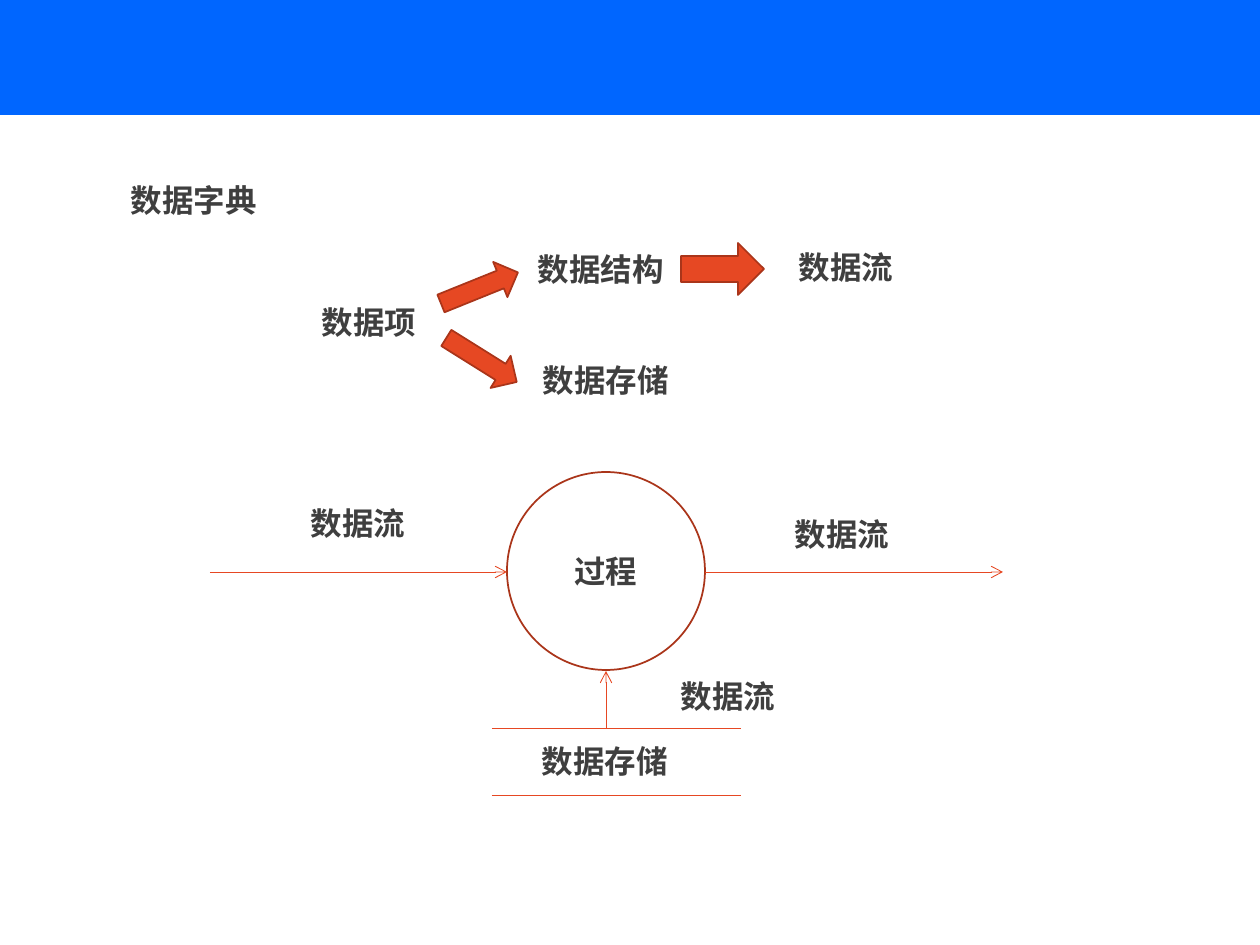
from lxml import etree
from pptx import Presentation
from pptx import util as u
from pptx.dml.color import RGBColor
from pptx.enum import shapes, text
from pptx.oxml.ns import qn

PX = 914400 / 126
FONT = "Noto Sans CJK SC"
COLORS = {
    "band": "0066FF",
    "text": "3F3F3F",
    "accent": "E64823",
    "outline": "AA351A",
}


def emu(*lengths):
    return [u.Emu(round(length * PX)) for length in lengths]


def write_label(shape, label):
    frame = shape.text_frame
    frame.text = label
    frame.word_wrap = True
    frame.auto_size = text.MSO_AUTO_SIZE.NONE
    frame.vertical_anchor = text.MSO_ANCHOR.MIDDLE
    paragraph = frame.paragraphs[0]
    paragraph.alignment = text.PP_ALIGN.CENTER
    paragraph.line_spacing = 1.0
    font = paragraph.runs[0].font
    font.size = u.Pt(18)
    font.bold = True
    font.name = FONT
    font.color.rgb = RGBColor.from_string(COLORS["text"])
    east_asian = etree.SubElement(paragraph.runs[0].font._element, qn("a:ea"))
    east_asian.set("typeface", FONT)


presentation = Presentation()
presentation.slide_width, presentation.slide_height = emu(1260, 945)
slide = presentation.slides.add_slide(presentation.slide_layouts[5])

band = slide.shapes.add_shape(shapes.MSO_SHAPE.RECTANGLE, *emu(0, 0, 1260, 115))
band.shadow.inherit = False
band.fill.solid()
band.fill.fore_color.rgb = RGBColor.from_string(COLORS["band"])
band.line.fill.background()

title = slide.shapes.title
title.left, title.top, title.width, title.height = emu(97, 175, 194, 50)
write_label(title, "数据字典")

labels = [
    ("数据项", 268, 297, 202),
    ("数据结构", 500, 244, 202),
    ("数据存储", 505, 355, 202),
    ("数据流", 781, 242, 130),
    ("数据流", 257, 498, 202),
    ("数据存储", 504, 736, 202),
    ("数据流", 741, 509, 202),
    ("数据流", 627, 671, 202),
]
for label, left, top, width in labels:
    write_label(slide.shapes.add_textbox(*emu(left, top, width, 50)), label)

block_arrows = [
    (438, 269, 83, 38, 338),
    (440, 341, 83, 38, 32),
    (681, 243, 83, 52, 0),
]
for left, top, width, height, rotation in block_arrows:
    arrow = slide.shapes.add_shape(
        shapes.MSO_SHAPE.RIGHT_ARROW, *emu(left, top, width, height))
    arrow.rotation = rotation
    arrow.shadow.inherit = False
    arrow.fill.solid()
    arrow.fill.fore_color.rgb = RGBColor.from_string(COLORS["accent"])
    arrow.line.color.rgb = RGBColor.from_string(COLORS["outline"])
    arrow.line.width = u.Pt(1)

process = slide.shapes.add_shape(shapes.MSO_SHAPE.OVAL, *emu(507, 472, 198, 198))
process.shadow.inherit = False
process.fill.background()
process.line.color.rgb = RGBColor.from_string(COLORS["outline"])
process.line.width = u.Pt(1)
write_label(process, "过程")

flow_lines = [
    (210, 572, 507, 572, True),
    (705, 572, 1003, 572, True),
    (606, 728, 606, 671, True),
    (492, 728, 741, 728, False),
    (492, 795, 741, 795, False),
]
for *ends, has_arrowhead in flow_lines:
    connector = slide.shapes.add_connector(
        shapes.MSO_CONNECTOR.STRAIGHT, *emu(*ends))
    connector.line.color.rgb = RGBColor.from_string(COLORS["accent"])
    connector.line.width = u.Pt(0.5)
    if has_arrowhead:
        arrowhead = etree.SubElement(connector.line._get_or_add_ln(), qn("a:tailEnd"))
        arrowhead.set("type", "arrow")
    etree.SubElement(connector._element.spPr, qn("a:effectLst"))

presentation.save("out.pptx")
